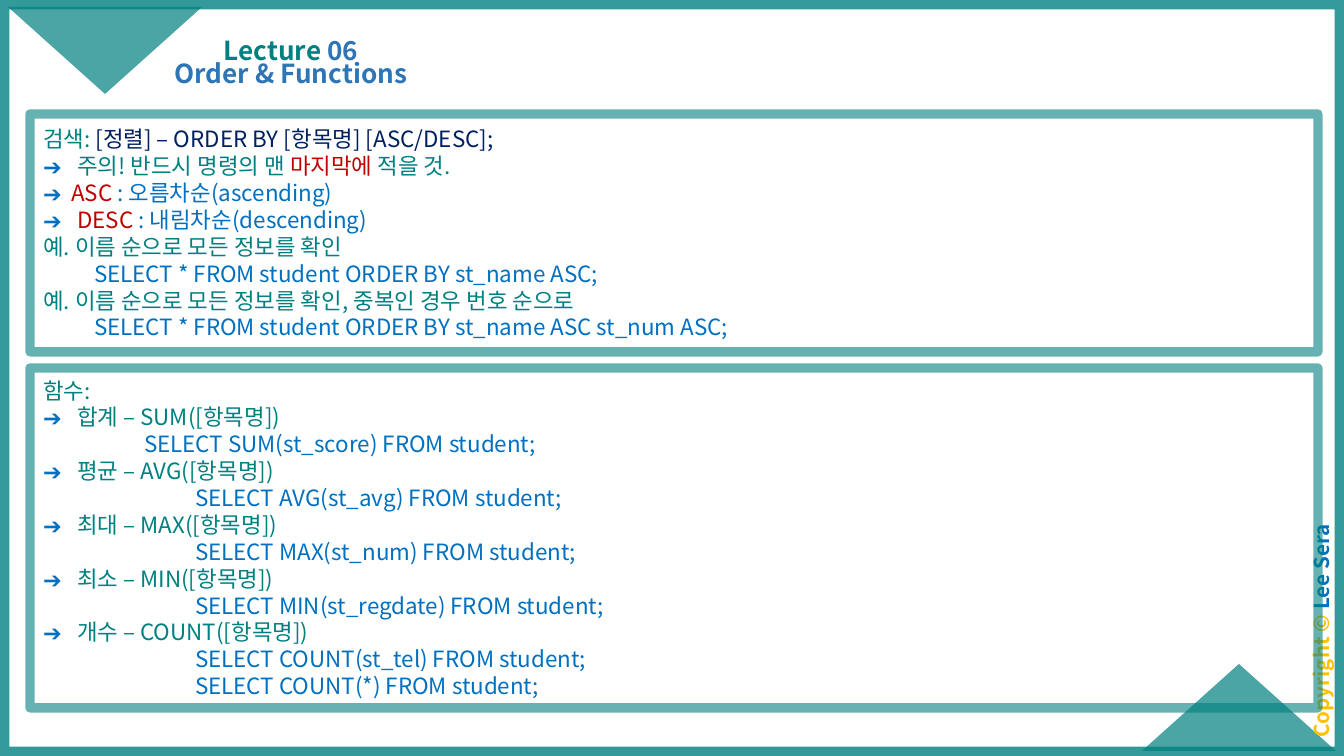
from dataclasses import dataclass

from lxml import etree
from pptx import Presentation
from pptx.dml.color import RGBColor
from pptx.enum.shapes import MSO_SHAPE
from pptx.enum.text import MSO_ANCHOR, PP_ALIGN
from pptx.oxml.ns import qn
from pptx.util import Emu, Pt

RECTANGLE = MSO_SHAPE.RECTANGLE
TRIANGLE = MSO_SHAPE.ISOSCELES_TRIANGLE
TOP, MIDDLE, BOTTOM = MSO_ANCHOR.TOP, MSO_ANCHOR.MIDDLE, MSO_ANCHOR.BOTTOM
LEFT, CENTER = PP_ALIGN.LEFT, PP_ALIGN.CENTER

PAGE_WIDTH, PAGE_HEIGHT = 1344, 756
CODE_INDENT, TAB_WIDTH = 51, 101


@dataclass(frozen=True)
class Theme:
    font: str = "Noto Sans CJK KR"
    teal: str = "008080"
    blue: str = "0070C0"
    title_blue: str = "2E75B6"
    navy: str = "002060"
    red: str = "C00000"
    gold: str = "FFC000"
    title_size: float = 14
    body_size: float = 12
    credit_size: float = 11
    body_leading: float = 14.4


THEME = Theme()


def px(length):
    return Emu(round(length * 9144000 / PAGE_WIDTH))


def set_color(fill, color, opacity):
    """Make the fill solid, with opacity in percent."""
    fill.solid()
    fill.fore_color.rgb = RGBColor.from_string(color)
    for element in fill._xPr.iter(qn("a:srgbClr")):
        etree.SubElement(element, qn("a:alpha"), val=str(opacity * 1000))


def add_frame(page, left, top, width, height, line_width, opacity):
    frame = page.shapes.add_shape(RECTANGLE, px(left), px(top), px(width), px(height))
    frame.shadow.inherit = False
    frame.fill.background()
    frame.line.width = Pt(line_width)
    set_color(frame.line.fill, THEME.teal, opacity)
    return frame


def add_corner(page, left, top, rotation=0):
    corner = page.shapes.add_shape(TRIANGLE, px(left), px(top), px(194), px(87))
    corner.shadow.inherit = False
    corner.rotation = rotation
    corner.line.fill.background()
    set_color(corner.fill, THEME.teal, 70)


def add_span(para, text, color, size, bold=False):
    span = para.add_run()
    span.text = text
    span.font.name = THEME.font
    span.font.size = Pt(size)
    span.font.bold = bold
    span.font.color.rgb = RGBColor.from_string(color)
    etree.SubElement(span.font._element, qn("a:ea"), typeface=THEME.font)


def add_arrow_bullet(para, indent):
    properties = para._p.get_or_add_pPr()
    properties.set("marL", str(px(indent)))
    properties.set("indent", str(-px(indent)))
    color = etree.SubElement(properties, qn("a:buClr"))
    etree.SubElement(color, qn("a:srgbClr"), val=THEME.blue)
    etree.SubElement(properties, qn("a:buFont"), typeface=THEME.font)
    etree.SubElement(properties, qn("a:buChar"), char="➔")


def add_label(page, left, top, width, height, spans, size, anchor=TOP, rotation=0):
    box = page.shapes.add_textbox(px(left), px(top), px(width), px(height))
    box.rotation = rotation
    frame = box.text_frame
    frame.word_wrap = True
    frame.vertical_anchor = anchor
    frame.margin_left = frame.margin_right = px(10)
    frame.margin_top = frame.margin_bottom = px(5)
    para = frame.paragraphs[0]
    para.alignment = CENTER
    para.line_spacing = 0.9
    for text, color in spans:
        add_span(para, text, color, size, bold=True)


def plain(*spans):
    return {"spans": spans}


def arrow(*spans, indent=34):
    return {"spans": spans, "bullet": True, "indent": indent}


def code(text, indent=CODE_INDENT):
    return {"spans": [(text, THEME.blue)], "indent": indent}


def add_panel(page, top, height, lines):
    """Add a framed panel with one paragraph for each line."""
    frame = add_frame(page, 30, top, 1288, height, 5, 60).text_frame
    frame.word_wrap = True
    frame.vertical_anchor = MIDDLE
    for number, line in enumerate(lines):
        para = frame.add_paragraph() if number else frame.paragraphs[0]
        para.alignment = LEFT
        para.line_spacing = Pt(THEME.body_leading)
        if line.get("bullet"):
            add_arrow_bullet(para, line["indent"])
        elif "indent" in line:
            para._p.get_or_add_pPr().set("marL", str(px(line["indent"])))
        for text, color in line["spans"]:
            add_span(para, text, color, THEME.body_size)


def order_lines():
    teal, blue, red = THEME.teal, THEME.blue, THEME.red
    return [
        plain(("검색: ", teal), ("[정렬] – ORDER BY [항목명] [ASC/DESC];", THEME.navy)),
        arrow(("주의! 반드시 명령의 맨 ", teal), ("마지막에", red), (" 적을 것.", teal)),
        arrow(("ASC ", red), (": 오름차순(ascending)", blue), indent=28),
        arrow(("DESC ", red), (": 내림차순(descending)", blue)),
        plain(("예. 이름 순으로 모든 정보를 확인", teal)),
        code("SELECT * FROM student ORDER BY st_name ASC;"),
        plain(("예. 이름 순으로 모든 정보를 확인, 중복인 경우 번호 순으로", teal)),
        code("SELECT * FROM student ORDER BY st_name ASC st_num ASC;"),
    ]


def function_lines():
    deep = CODE_INDENT + TAB_WIDTH
    functions = [
        ("합계", "SUM", ["st_score"], TAB_WIDTH),
        ("평균", "AVG", ["st_avg"], deep),
        ("최대", "MAX", ["st_num"], deep),
        ("최소", "MIN", ["st_regdate"], deep),
        ("개수", "COUNT", ["st_tel", "*"], deep),
    ]
    lines = [plain(("함수:", THEME.teal))]
    for meaning, name, columns, indent in functions:
        lines.append(arrow((f"{meaning} – {name}([항목명])", THEME.teal)))
        for column in columns:
            lines.append(code(f"SELECT {name}({column}) FROM student;", indent))
    return lines


def main():
    deck = Presentation()
    deck.slide_width, deck.slide_height = px(PAGE_WIDTH), px(PAGE_HEIGHT)
    page = deck.slides.add_slide(deck.slide_layouts[6])

    add_frame(page, 0, 0, PAGE_WIDTH, PAGE_HEIGHT, 10, 80)
    add_corner(page, 1142, 664)
    add_corner(page, 8, 7, rotation=180)
    add_label(page, 1199, 614, 250, 34,
              [("Copyright © ", THEME.gold), ("Lee Sera", THEME.blue)],
              THEME.credit_size, rotation=270)
    add_label(page, 188, 8, 206, 63,
              [("Lecture ", THEME.teal), ("06", THEME.title_blue)],
              THEME.title_size, anchor=BOTTOM)
    add_label(page, 148, 56, 286, 46,
              [("Order & Functions", THEME.title_blue)], THEME.title_size)
    add_panel(page, 114, 238, order_lines())
    add_panel(page, 368, 340, function_lines())
    deck.save("out.pptx")


if __name__ == "__main__":
    main()
